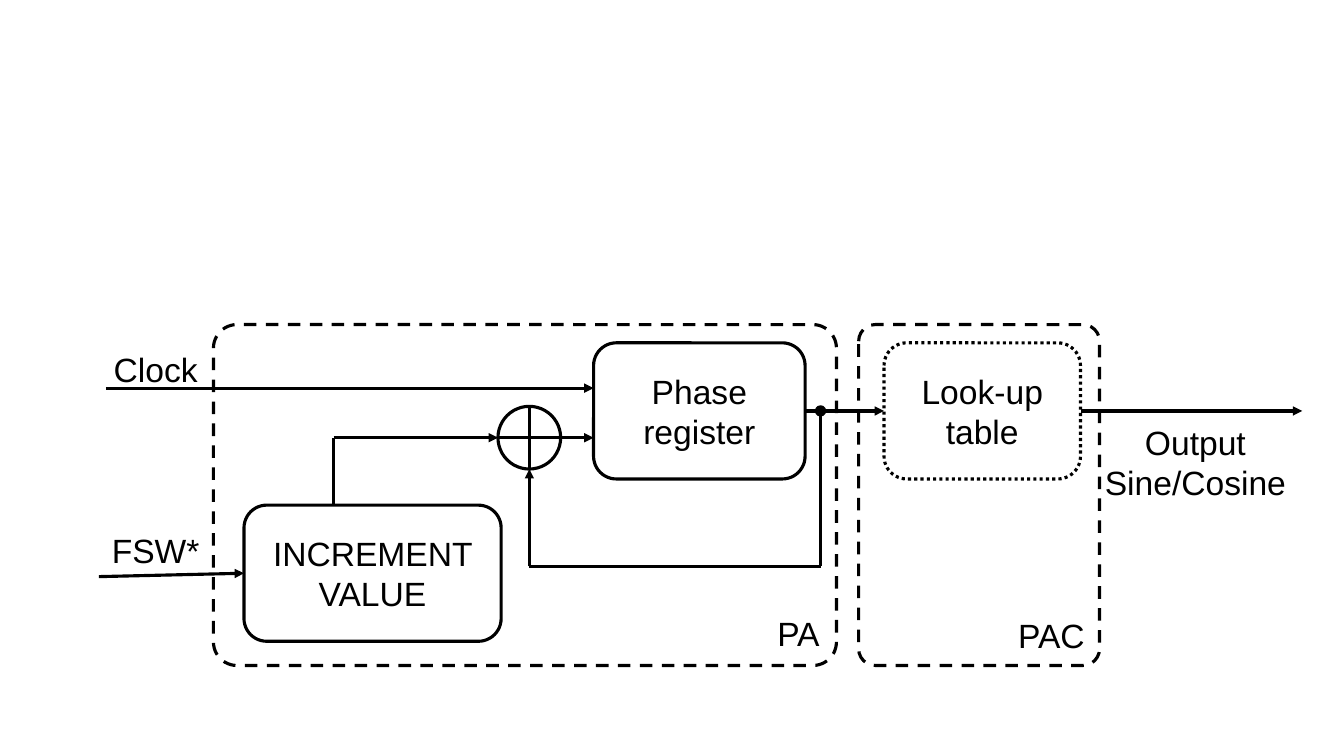
import pptx
import pptx.util
import pptx.dml.color
import pptx.enum.dml
import pptx.enum.shapes
import pptx.enum.text
import pptx.oxml
import pptx.oxml.ns

Cm, Pt = pptx.util.Cm, pptx.util.Pt
SHAPE = pptx.enum.shapes.MSO_SHAPE
DASH = pptx.enum.dml.MSO_LINE
ALIGN = pptx.enum.text.PP_ALIGN
ANCHOR = pptx.enum.text.MSO_ANCHOR

BLACK = pptx.dml.color.RGBColor(0x00, 0x00, 0x00)
FONT = "Arial"
LINE_WIDTH = 2.25
TOP, LEFT, BOTTOM, RIGHT = range(4)

BLOCK_HEIGHT = 3.43
BLOCK_TOP = 0.46  # below the top of the dashed frames


def write(frame, text, size=24, align=ALIGN.CENTER, anchor=ANCHOR.MIDDLE):
    frame.word_wrap = True
    frame.vertical_anchor = anchor
    paragraph = frame.paragraphs[0]
    paragraph.alignment = align
    run = paragraph.add_run()
    run.text = text
    run.font.size = Pt(size)
    run.font.name = FONT
    run.font.color.rgb = BLACK


def add_outline(slide, kind, left, top, width, height,
                dash=None, corner=None, fill=None, weight=LINE_WIDTH):
    shape = slide.shapes.add_shape(kind, Cm(left), Cm(top), Cm(width), Cm(height))
    shape.shadow.inherit = False
    if fill is None:
        shape.fill.background()
    else:
        shape.fill.solid()
        shape.fill.fore_color.rgb = fill
    shape.line.color.rgb = BLACK
    shape.line.width = Pt(weight)
    if dash is not None:
        shape.line.dash_style = dash
    if corner is not None:
        shape.adjustments[0] = corner
    return shape


def add_block(slide, text, left, top, width, dash=None):
    block = add_outline(slide, SHAPE.ROUNDED_RECTANGLE,
                        left, top, width, BLOCK_HEIGHT, dash=dash)
    write(block.text_frame, text)
    return block


def add_frame(slide, text, left, top, width, height):
    frame = add_outline(slide, SHAPE.ROUNDED_RECTANGLE, left, top, width, height,
                        dash=DASH.DASH, corner=0.069)
    write(frame.text_frame, text, align=ALIGN.RIGHT, anchor=ANCHOR.BOTTOM)


def add_label(slide, text, left, top, width, height):
    label = slide.shapes.add_textbox(Cm(left), Cm(top), Cm(width), Cm(height))
    frame = label.text_frame
    frame.margin_left = frame.margin_right = 0
    write(frame, text)


def add_wire(slide, x1, y1, x2, y2, arrow=False, source=None, target=None):
    wire = slide.shapes.add_connector(pptx.enum.shapes.MSO_CONNECTOR.STRAIGHT,
                                      Cm(x1), Cm(y1), Cm(x2), Cm(y2))
    if source is not None:
        wire.begin_connect(source, RIGHT)
    if target is not None:
        wire.end_connect(target, LEFT)
    wire.line.color.rgb = BLACK
    wire.line.width = Pt(LINE_WIDTH)
    if arrow:
        head = pptx.oxml.parse_xml(
            f'<a:tailEnd {pptx.oxml.ns.nsdecls("a")} type="triangle"/>')
        wire.line._get_or_add_ln().append(head)
    wire._element.spPr.append(
        pptx.oxml.parse_xml(f'<a:effectLst {pptx.oxml.ns.nsdecls("a")}/>'))


def add_adder(slide, left, top, size):
    add_outline(slide, SHAPE.OVAL, left, top, size, size)
    x, y = left + size / 2, top + size / 2
    add_wire(slide, x, top, x, top + size)
    add_wire(slide, left, y, left + size, y)
    return x, y


def add_phase_accumulator(slide, left, top, width, height):
    """Draw the PA frame; return its increment and register blocks."""
    add_frame(slide, "PA", left, top, width, height)

    # Blocks
    increment_left, increment_top = left + 0.77, top + 4.55
    register_left, register_width = left + 9.58, 5.33
    increment = add_block(slide, "INCREMENT VALUE", increment_left, increment_top, 6.48)
    register = add_block(slide, "Phase register", register_left, top + BLOCK_TOP,
                         register_width)

    # Adder and its inputs
    adder_left, adder_top, adder_size = left + 7.17, top + 2.06, 1.58
    adder_x, adder_y = add_adder(slide, adder_left, adder_top, adder_size)
    add_wire(slide, adder_left + adder_size, adder_y, register_left, adder_y, arrow=True)
    riser_x = increment_left + 2.26
    add_wire(slide, riser_x, adder_y, riser_x, increment_top)
    add_wire(slide, riser_x, adder_y, adder_left, adder_y, arrow=True)

    # Feedback from the register output
    tap_x = register_left + register_width + 0.39
    tap_y = top + BLOCK_TOP + BLOCK_HEIGHT / 2
    feedback_y, dot = top + 6.09, 0.25
    add_wire(slide, tap_x, tap_y, tap_x, feedback_y)
    add_wire(slide, adder_x, feedback_y, tap_x, feedback_y)
    add_wire(slide, adder_x, feedback_y, adder_x, adder_top + adder_size, arrow=True)
    add_outline(slide, SHAPE.OVAL, tap_x - dot / 2, tap_y - dot / 2, dot, dot,
                fill=BLACK, weight=1)
    return increment, register


def add_phase_converter(slide, left, top, width, height):
    """Draw the PAC frame; return its look-up table block."""
    add_frame(slide, "PAC", left, top, width, height)
    return add_block(slide, "Look-up table", left + 0.64, top + BLOCK_TOP, 4.95,
                     dash=DASH.ROUND_DOT)


def add_signals(slide, left, top, right, increment, register, lookup):
    """Draw the inputs, the link between frames and the output."""
    label_width, label_height = 2.87, 1.32
    add_label(slide, "Clock", left, top + 0.46, label_width, label_height)
    add_label(slide, "FSW*", left, top + 5.03, label_width, label_height)
    clock_y, fsw_y = top + 1.6, top + 6.35
    add_wire(slide, left + 0.18, clock_y, register.left.cm, clock_y, arrow=True)
    add_wire(slide, left, fsw_y, left + 3.66, fsw_y, arrow=True, target=increment)

    output_y = top + BLOCK_TOP + BLOCK_HEIGHT / 2
    add_wire(slide, left, output_y, right, output_y, arrow=True,
             source=register, target=lookup)
    add_wire(slide, left, output_y, right, output_y, arrow=True, source=lookup)
    add_label(slide, "Output Sine/Cosine", right - 5.36, top + 2.31, 5.33, 2.31)


def main():
    presentation = pptx.Presentation()
    presentation.slide_width, presentation.slide_height = Cm(33.87), Cm(19.05)
    slide = presentation.slides.add_slide(presentation.slide_layouts[6])

    top, height = 8.18, 8.59
    lookup = add_phase_converter(slide, 21.64, top, 6.07, height)
    increment, register = add_phase_accumulator(slide, 5.38, top, 15.7, height)
    add_signals(slide, 2.49, top, 32.82, increment, register, lookup)
    presentation.save("out.pptx")


if __name__ == "__main__":
    main()
